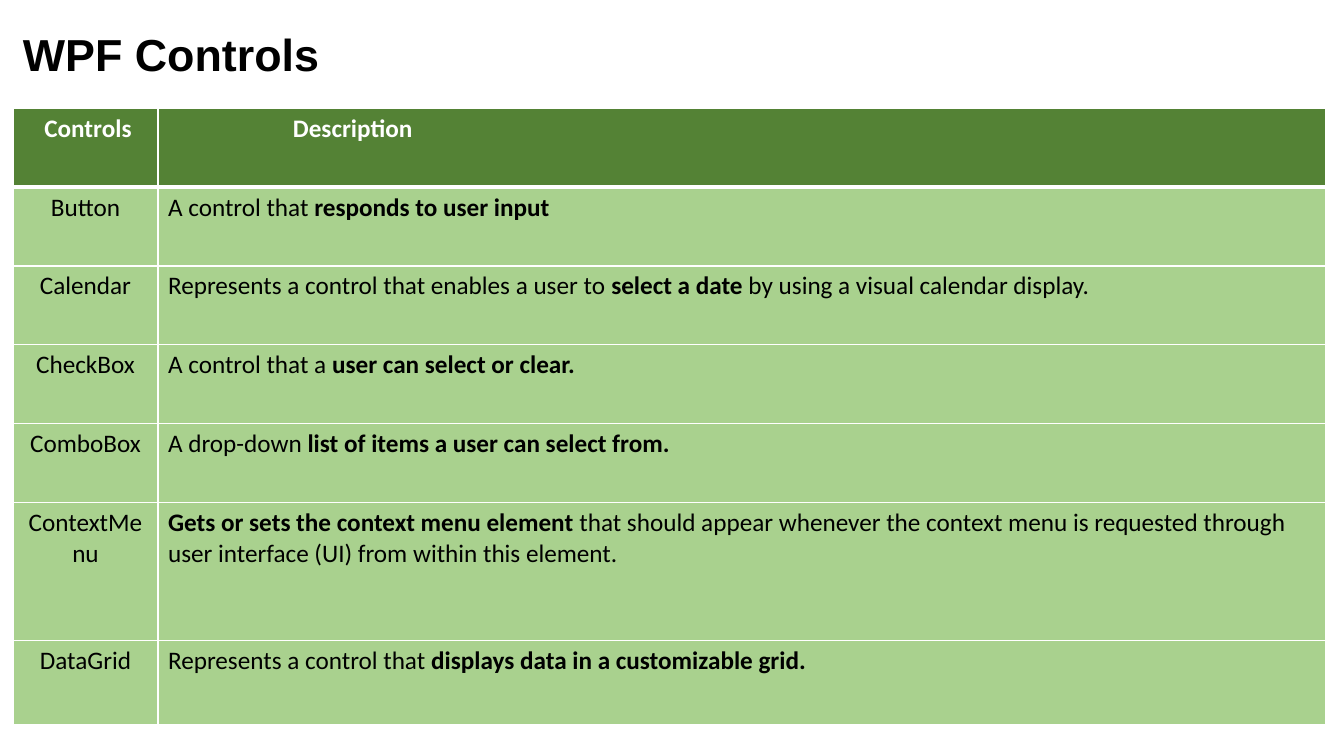
import pptx
import pptx.util
import pptx.dml.color
import pptx.enum.text
import lxml.etree

TITLE = "WPF Controls"
HEAD = ("Controls", "Description")
ROWS = [
    ("Button", [("A control that ", False), ("responds to user input", True)]),
    ("Calendar", [("Represents a control that enables a user to ", False),
                  ("select a date", True),
                  (" by using a visual calendar display.", False)]),
    ("CheckBox", [("A control that a ", False), ("user can select or clear.", True)]),
    ("ComboBox", [("A drop-down ", False),
                  ("list of items a user can select from.", True)]),
    ("ContextMenu", [("Gets or sets the context menu element", True),
                     (" that should appear whenever the context menu is requested through "
                      "user interface (UI) from within this element.", False)]),
    ("DataGrid", [("Represents a control that", False),
                  (" displays data in a customizable grid.", True)]),
]
WIDTHS = (145, 1168)
HEIGHTS = (79, 79, 79, 79, 79, 138, 84)
INDENTS = (15, 135)
LEFT, TOP = 13, 108

BLACK = pptx.dml.color.RGBColor(0, 0, 0)
WHITE = pptx.dml.color.RGBColor(255, 255, 255)
DARK = pptx.dml.color.RGBColor(0x54, 0x82, 0x35)
LIGHT = pptx.dml.color.RGBColor(0xA9, 0xD1, 0x8E)
CENTER = pptx.enum.text.PP_ALIGN.CENTER
START = pptx.enum.text.PP_ALIGN.LEFT
NS = "{http://schemas.openxmlformats.org/drawingml/2006/main}"


def px(n):
    return pptx.util.Emu(round(n * 914400 / 100.8))


def style(font, name, size, color):
    font.name = name
    font.size = pptx.util.Pt(size)
    font.color.rgb = color


def edge(cell, low):
    props = cell._tc.get_or_add_tcPr()
    for side, width in (("L", 1), ("R", 1), ("T", 1), ("B", low)):
        line = lxml.etree.SubElement(props, f"{NS}ln{side}", w=str(pptx.util.Pt(width)))
        fill = lxml.etree.SubElement(line, f"{NS}solidFill")
        lxml.etree.SubElement(fill, f"{NS}srgbClr", val=str(WHITE))


def put(cell, parts, align, color, back, low):
    edge(cell, low)
    cell.fill.solid()
    cell.fill.fore_color.rgb = back
    para = cell.text_frame.paragraphs[0]
    para.alignment = align
    style(para.font, "Calibri", 18, color)
    for text, bold in parts:
        run = para.add_run()
        run.text = text
        run.font.bold = bold


def main():
    deck = pptx.Presentation()
    deck.slide_width, deck.slide_height = px(1344), px(756)
    slide = deck.slides.add_slide(deck.slide_layouts[6])

    frame = slide.shapes.add_table(
        len(HEIGHTS), len(WIDTHS), px(LEFT), px(TOP), px(sum(WIDTHS)), px(sum(HEIGHTS)))
    table = frame.table
    table.horz_banding = False
    for col, width in zip(table.columns, WIDTHS):
        col.width = px(width)
    for row, height in zip(table.rows, HEIGHTS):
        row.height = px(height)

    for c, (text, align) in enumerate(zip(HEAD, (CENTER, START))):
        cell = table.cell(0, c)
        put(cell, [(text, True)], align, WHITE, DARK, 3)
        cell.margin_left = px(INDENTS[c])
    for r, (name, parts) in enumerate(ROWS, 1):
        put(table.cell(r, 0), [(name, False)], CENTER, BLACK, LIGHT, 1)
        put(table.cell(r, 1), parts, START, BLACK, LIGHT, 1)

    box = slide.shapes.add_textbox(px(LEFT), px(21), px(408), px(72)).text_frame
    box.word_wrap = True
    box.vertical_anchor = pptx.enum.text.MSO_ANCHOR.MIDDLE
    para = box.paragraphs[0]
    para.text = TITLE
    para.line_spacing = 0.9
    style(para.font, "Arial", 32, BLACK)
    para.font.bold = True

    deck.save("out.pptx")


if __name__ == "__main__":
    main()
